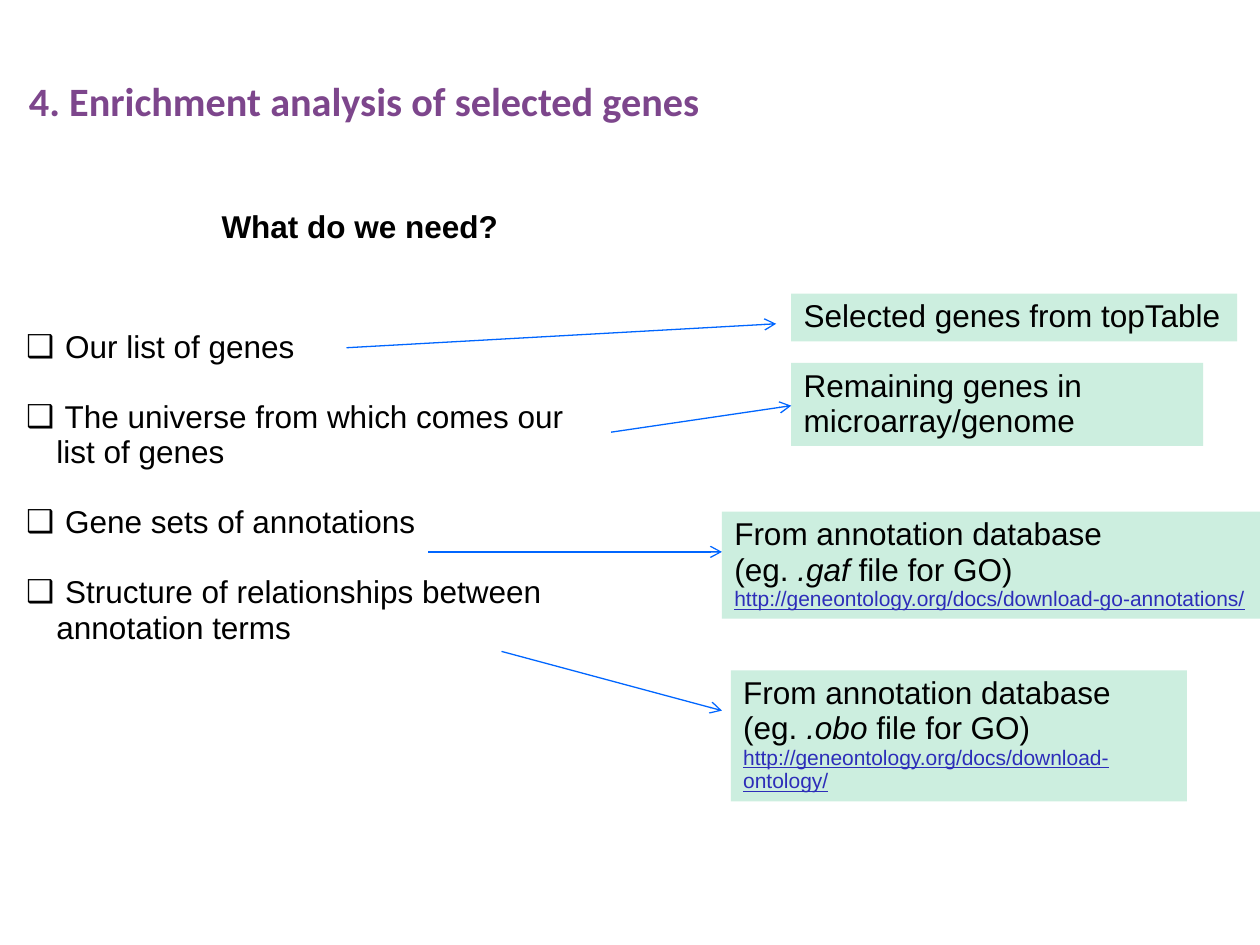
from lxml.etree import SubElement
from pptx import Presentation
from pptx.dml.color import RGBColor
from pptx.enum.shapes import MSO_CONNECTOR as Conn, MSO_SHAPE as Shape
from pptx.enum.text import MSO_ANCHOR as Anchor, PP_ALIGN as Align
from pptx.oxml.ns import qn
from pptx.util import Inches, Pt

TITLE = "4. Enrichment analysis of selected genes"
HEAD = "What do we need?"
NEEDS = [
    " Our list of genes",
    " The universe from which comes our list of genes",
    " Gene sets of annotations",
    " Structure of relationships between annotation terms",
]
BASE = "http://geneontology.org/docs/"


def source(ext, page):
    """Return the lines that name a database file and its address."""
    return [
        [("From annotation database", "")],
        [("(eg. ", ""), (ext + " ", "italic"), ("file for GO)", "")],
        [(BASE + page, "link")],
    ]


NOTES = [
    ((6.28, 2.33, 3.54, 0.38), [[("Selected genes from topTable", "")]]),
    ((6.28, 2.88, 3.27, 0.66), [[("Remaining genes in microarray/genome", "")]]),
    ((5.73, 4.06, 4.27, 0.85), source(".gaf", "download-go-annotations/")),
    ((5.8, 5.32, 3.62, 1.04), source(".obo", "download-ontology/")),
]
ARROWS = [
    (2.75, 2.76, 6.16, 2.57),
    (4.85, 3.43, 6.28, 3.22),
    (3.4, 4.38, 5.73, 4.38),
    (3.98, 5.17, 5.73, 5.64),
]


def color(text):
    """Turn a hex string into a colour."""
    return RGBColor.from_string(text)


def style(font, size=18, tint="000000", name="Arial", bold=False):
    """Set the look of a font."""
    font.size, font.name, font.bold = Pt(size), name, bold
    font.color.rgb = color(tint)


def setup(frame):
    """Give a text frame its margins, wrap and anchor."""
    frame.word_wrap, frame.vertical_anchor = True, Anchor.TOP
    frame.margin_left = frame.margin_right = Inches(0.1)
    frame.margin_top = frame.margin_bottom = Inches(0.05)


def align(para):
    """Set left alignment and tight line spacing."""
    para.alignment, para.line_spacing = Align.LEFT, 0.93


def bullet(para):
    """Add a hanging box bullet to a paragraph."""
    props = para._p.get_or_add_pPr()
    props.set("marL", str(Inches(0.24)))
    props.set("indent", str(-Inches(0.24)))
    tint = SubElement(props, qn("a:buClr"))
    SubElement(tint, qn("a:srgbClr"), val="000000")
    SubElement(props, qn("a:buFont"), typeface="Arial")
    SubElement(props, qn("a:buChar"), char="❑")


def add_note(slide, place, lines):
    """Draw a green box with styled lines of text."""
    box = slide.shapes.add_shape(Shape.RECTANGLE, *map(Inches, place))
    box.shadow.inherit = False
    box.fill.solid()
    box.fill.fore_color.rgb = color("CCEEDF")
    box.line.fill.background()
    frame = box.text_frame
    setup(frame)
    for i, line in enumerate(lines):
        para = frame.add_paragraph() if i else frame.paragraphs[0]
        align(para)
        for text, kind in line:
            run = para.add_run()
            run.text = text
            link = kind == "link"
            style(run.font, 12 if link else 18, "2D2DB9" if link else "000000")
            run.font.italic, run.font.underline = kind == "italic", link


def add_arrow(slide, ends):
    """Draw a thin blue arrow."""
    arrow = slide.shapes.add_connector(Conn.STRAIGHT, *map(Inches, ends))
    arrow.line.color.rgb = color("0066FF")
    arrow.line.width = Pt(0.75)
    SubElement(arrow.line._get_or_add_ln(), qn("a:tailEnd"), type="arrow")
    SubElement(arrow._element.spPr, qn("a:effectLst"))


def main():
    """Build and save the slide."""
    deck = Presentation()
    deck.slide_width, deck.slide_height = Inches(10), Inches(7.5)
    slide = deck.slides.add_slide(deck.slide_layouts[5])

    title = slide.shapes.title
    title.left, title.top = Inches(0.13), Inches(0.59)
    title.width, title.height = Inches(7.99), Inches(0.46)
    title.text_frame.text = TITLE
    head = slide.shapes.add_textbox(*map(Inches, (1.66, 1.62, 2.42, 0.38)))
    head.text_frame.text = HEAD
    for shape, look in (
        (title, (23, "7D468C", "Calibri", True)),
        (head, (18, "000000", "Arial", True)),
    ):
        setup(shape.text_frame)
        para = shape.text_frame.paragraphs[0]
        align(para)
        style(para.runs[0].font, *look)

    needs = slide.shapes.add_textbox(*map(Inches, (0.11, 2.57, 4.74, 2.64)))
    setup(needs.text_frame)
    needs.text_frame.text = "\n".join(NEEDS)
    for i, para in enumerate(needs.text_frame.paragraphs):
        align(para)
        if i:
            para.space_before = Pt(20)
        bullet(para)
        style(para.runs[0].font)

    for place, lines in NOTES:
        add_note(slide, place, lines)
    for ends in ARROWS:
        add_arrow(slide, ends)
    deck.save("out.pptx")


if __name__ == "__main__":
    main()
